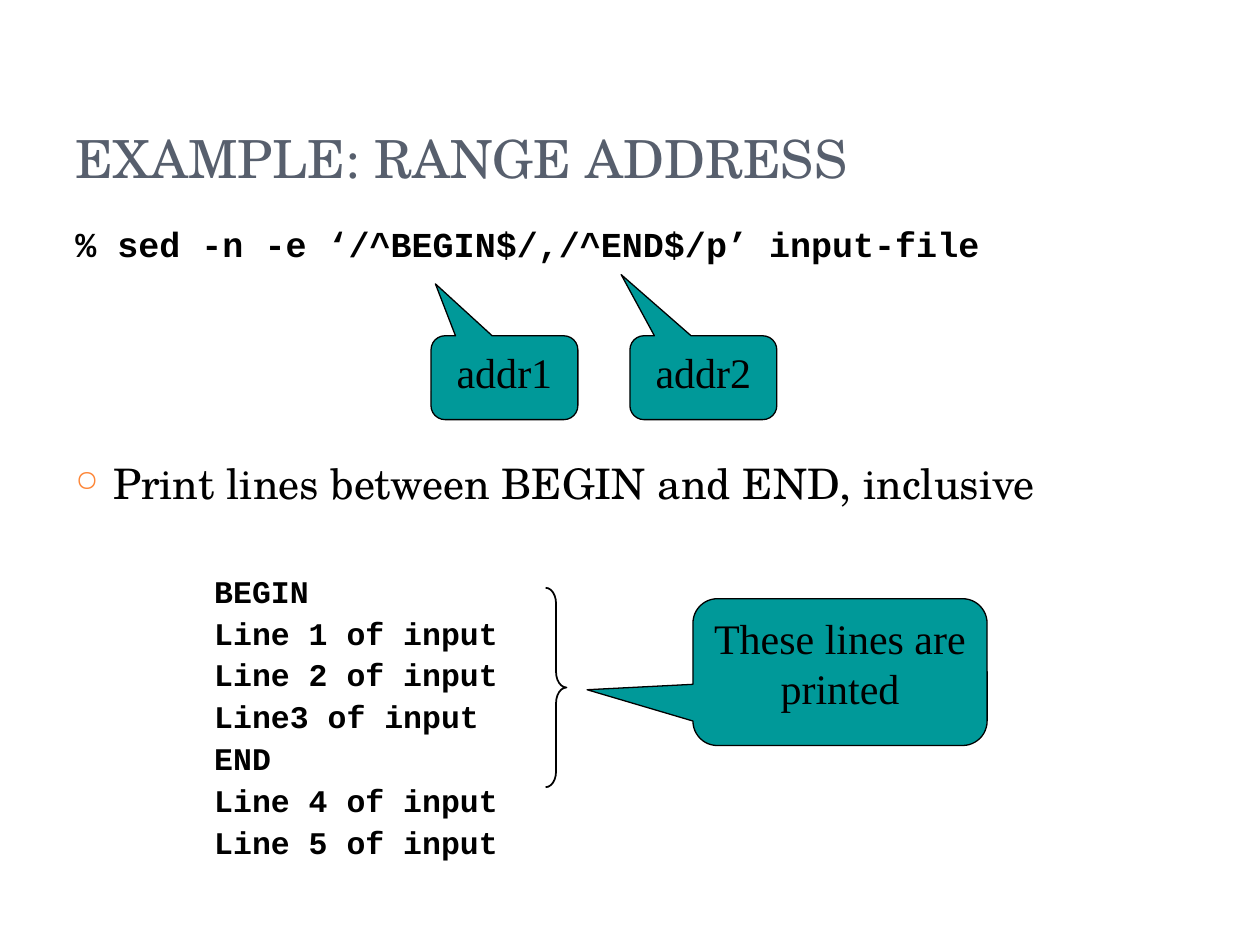
from pptx import Presentation
from pptx.dml.color import RGBColor
from pptx.enum.shapes import MSO_SHAPE
from pptx.enum.text import MSO_ANCHOR, PP_ALIGN
from pptx.oxml import parse_xml
from pptx.oxml.ns import nsdecls
from pptx.util import Cm, Pt

CALLOUT = MSO_SHAPE.ROUNDED_RECTANGULAR_CALLOUT
BRACE = MSO_SHAPE.RIGHT_BRACE
TOP, BOTTOM = MSO_ANCHOR.TOP, MSO_ANCHOR.BOTTOM
LEFT, CENTER = PP_ALIGN.LEFT, PP_ALIGN.CENTER
SERIF, MONO, TIMES = "TeX Gyre Schola", "Courier New", "Times New Roman"


def color(text):
    return RGBColor.from_string(text)


def style(par, face, size, tint="000000", bold=False):
    par.font.name = face
    par.font.size = Pt(size)
    par.font.bold = bold
    par.font.color.rgb = color(tint)


deck = Presentation()
deck.slide_width, deck.slide_height = Cm(25.4), Cm(19.05)
slide = deck.slides.add_slide(deck.slide_layouts[5])
shapes = slide.shapes

# Title
title = shapes.title
title.left, title.top, title.width, title.height = Cm(1.27), Cm(0.76), Cm(20.75), Cm(3.18)
title.text_frame.text = "EXAMPLE: RANGE ADDRESS"
title.text_frame.vertical_anchor = BOTTOM
par = title.text_frame.paragraphs[0]
par.alignment = LEFT
style(par, SERIF, 30, "575F6D")

# Command, explanation and input lines: text, space before
body = shapes.add_textbox(Cm(1.27), Cm(4.45), Cm(20.75), Cm(13.54))
frame = body.text_frame
frame.word_wrap = True
rows = [
    ("% sed -n -e ‘/^BEGIN$/,/^END$/p’ input-file", 0),
    ("Print lines between BEGIN and END, inclusive", 110),
    ("BEGIN", 39),
    ("Line 1 of input", 4.5),
    ("Line 2 of input", 4.5),
    ("Line3 of input", 4.5),
    ("END", 4.5),
    ("Line 4 of input", 4.5),
    ("Line 5 of input", 4.5),
]
for i, (text, gap) in enumerate(rows):
    par = frame.paragraphs[0] if i == 0 else frame.add_paragraph()
    par.text = text
    par.space_before = Pt(gap)
    props = par._p.get_or_add_pPr()
    if i == 1:
        props.set("marL", str(Cm(0.76)))
        props.set("indent", str(Cm(-0.76)))
        for tag in (
            '<a:buClr %s><a:srgbClr val="FE8637"/></a:buClr>',
            '<a:buSzPct %s val="70000"/>',
            '<a:buChar %s char="○"/>',
        ):
            props.append(parse_xml(tag % nsdecls("a")))
        style(par, SERIF, 24)
    else:
        par.line_spacing = 0.9
        props.set("marL", str(Cm(2.8 if i else 0)))
        style(par, MONO, 18 if i else 20, bold=True)

# Callouts: text, place, size, pointer tip
notes = [
    ("addr1", 8.69, 6.77, 2.96, 1.69, -0.47, -1.12),
    ("addr2", 12.7, 6.77, 2.96, 1.69, -0.56, -1.23),
    ("These lines are printed", 13.97, 12.07, 5.93, 2.96, -0.86, 0.12),
]
for text, x, y, wide, high, tip_x, tip_y in notes:
    note = shapes.add_shape(CALLOUT, Cm(x), Cm(y), Cm(wide), Cm(high))
    note.shadow.inherit = False
    note.adjustments[0], note.adjustments[1] = tip_x, tip_y
    note.fill.solid()
    note.fill.fore_color.rgb = color("009999")
    note.line.color.rgb = color("000000")
    note.line.width = Pt(0.75)
    note.text_frame.text = text
    note.text_frame.vertical_anchor = TOP
    par = note.text_frame.paragraphs[0]
    par.alignment = CENTER
    style(par, TIMES, 24)

# Brace around the printed lines
brace = shapes.add_shape(BRACE, Cm(11), Cm(11.85), Cm(0.42), Cm(4.02))
brace.shadow.inherit = False
brace.adjustments[0] = 0.75
brace.fill.background()
brace.line.color.rgb = color("000000")
brace.line.width = Pt(1)

deck.save("out.pptx")
